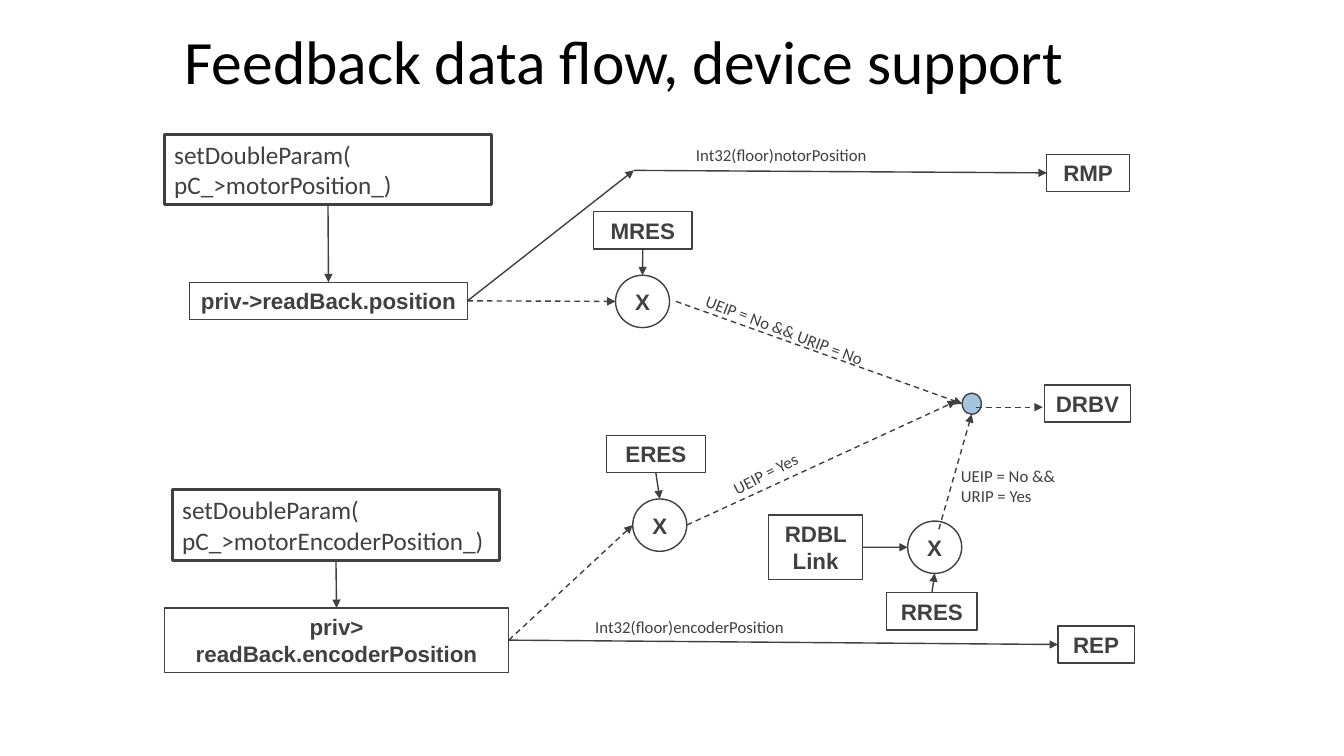
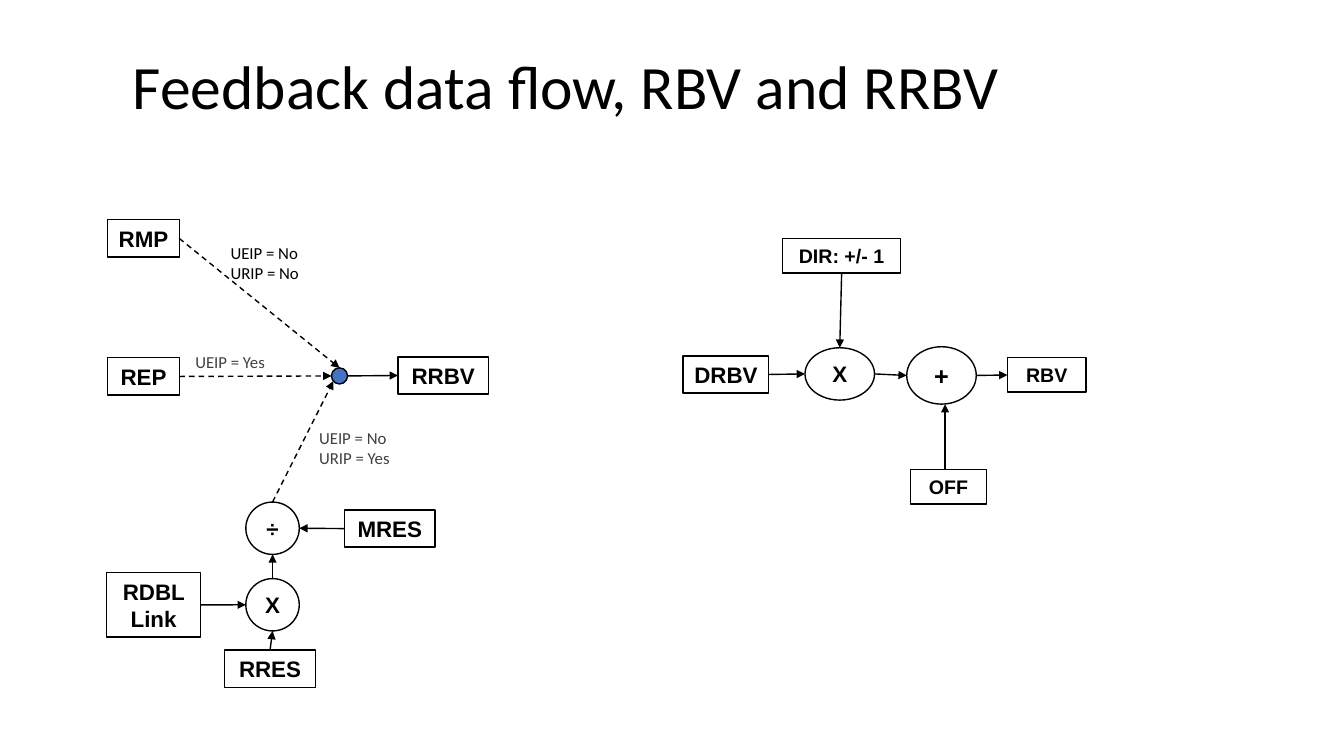
from dataclasses import dataclass
from pptx import Presentation
from pptx.dml.color import RGBColor
from pptx.enum.dml import MSO_LINE
from pptx.enum.shapes import MSO_CONNECTOR, MSO_SHAPE
from pptx.enum.text import MSO_ANCHOR, MSO_AUTO_SIZE, PP_ALIGN
from pptx.oxml.ns import qn
from pptx.util import Pt
from lxml.etree import SubElement

TOP, LEFT, BOTTOM, RIGHT = range(4)


@dataclass(frozen=True)
class Theme:
    black: str = "000000"
    gray: str = "404040"
    white: str = "FFFFFF"
    pale: str = "A6C4DE"
    blue: str = "4472C4"
    plain: str = "Calibri"
    strong: str = "Arial"
    title: int = 44
    code: int = 18
    node: int = 16
    small: int = 14
    label: int = 12
    row: float = 26.6
    low: float = 24.5
    tall: float = 46.1
    ring: float = 37.4


T = Theme()


def tint(code):
    return RGBColor.from_string(code)


def write(frame, text, size=T.label, ink=T.gray, font=T.plain, bold=False,
          align=PP_ALIGN.LEFT, anchor=MSO_ANCHOR.TOP, lead=None):
    frame.word_wrap = True
    frame.auto_size = MSO_AUTO_SIZE.NONE
    frame.vertical_anchor = anchor
    frame.text = text
    for para in frame.paragraphs:
        para.alignment = align
        para.line_spacing = lead
        for run in para.runs:
            run.font.name = font
            run.font.size = Pt(size)
            run.font.bold = bold
            run.font.color.rgb = tint(ink)


def start(deck, text, left, top):
    slide = deck.slides.add_slide(deck.slide_layouts[5])
    title = slide.shapes.title
    title.left, title.top = Pt(left), Pt(top)
    title.width, title.height = Pt(648), Pt(60.5)
    write(title.text_frame, text, size=T.title, ink=T.black,
          anchor=MSO_ANCHOR.MIDDLE, lead=0.9)
    return slide


def shape(slide, kind, area, ink, fill=None, weight=1):
    item = slide.shapes.add_shape(kind, *map(Pt, area))
    item.shadow.inherit = False
    item.line.color.rgb = tint(ink)
    item.line.width = Pt(weight)
    if fill:
        item.fill.solid()
        item.fill.fore_color.rgb = tint(fill)
    else:
        item.fill.background()
    return item


def code(slide, text, left, top):
    item = shape(slide, MSO_SHAPE.RECTANGLE, (left, top, 234, 50.4), T.gray, T.white, 2)
    write(item.text_frame, text, size=T.code)
    return item


def node(slide, text, area, ink, size=T.node):
    item = shape(slide, MSO_SHAPE.RECTANGLE, area, ink)
    write(item.text_frame, text, size=size, ink=ink, font=T.strong, bold=True,
          align=PP_ALIGN.CENTER, anchor=MSO_ANCHOR.MIDDLE)
    return item


def ring(slide, text, area, ink, size=T.node):
    item = shape(slide, MSO_SHAPE.OVAL, area, ink)
    frame = item.text_frame
    frame.margin_left = frame.margin_right = frame.margin_top = frame.margin_bottom = 0
    write(frame, text, size=size, ink=ink, font=T.strong, bold=True,
          align=PP_ALIGN.CENTER, anchor=MSO_ANCHOR.MIDDLE)
    return item


def label(slide, text, area, ink=T.gray, turn=0):
    box = slide.shapes.add_textbox(*map(Pt, area))
    box.rotation = turn
    write(box.text_frame, text, ink=ink)


def locate(end):
    item, side = end
    if isinstance(item, (int, float)):
        return Pt(item), Pt(side)
    across = {LEFT: 0, RIGHT: item.width}.get(side, item.width // 2)
    down = {TOP: 0, BOTTOM: item.height}.get(side, item.height // 2)
    return item.left + across, item.top + down


def boxed(end):
    item = end[0]
    return (not isinstance(item, (int, float))
            and item.auto_shape_type == MSO_SHAPE.RECTANGLE)


def arrow(slide, first, last, ink, dash=False):
    line = slide.shapes.add_connector(MSO_CONNECTOR.STRAIGHT, *locate(first), *locate(last))
    if boxed(first):
        line.begin_connect(*first)
    if boxed(last):
        line.end_connect(*last)
    line.line.color.rgb = tint(ink)
    line.line.width = Pt(1)
    if dash:
        line.line.dash_style = MSO_LINE.DASH
    props = line.element.spPr
    SubElement(props.find(qn("a:ln")), qn("a:tailEnd"), type="triangle")
    SubElement(props, qn("a:effectLst"))


def link(slide, ink, solid, dashed):
    for first, last in solid:
        arrow(slide, first, last, ink)
    for first, last in dashed:
        arrow(slide, first, last, ink, dash=True)


def device(deck):
    slide = start(deck, "Feedback data flow, device support", 124.6, 15.8)
    ink = T.gray
    motor = code(slide, "setDoubleParam(\npC_>motorPosition_)", 117.4, 95.8)
    coder = code(slide, "setDoubleParam(\npC_>motorEncoderPosition_)", 123.1, 349.9)
    place, count, eres, mres, drbv, rdbl, rres, rmp, rep = [
        node(slide, text, area, ink) for text, area in (
            ("priv->readBack.position", (135.4, 201.6, 198.7, T.row)),
            ("priv>\nreadBack.encoderPosition", (117.4, 434.2, 246.2, T.tall)),
            ("ERES", (433.4, 311, 70.6, T.row)),
            ("MRES", (424.1, 151.2, 70.6, T.row)),
            ("DRBV", (746.6, 275, 61.2, T.row)),
            ("RDBL Link", (549.4, 367.9, 67, T.tall)),
            ("RRES", (633.6, 423.4, 64.8, T.row)),
            ("RMP", (748.1, 110.2, 59, T.row)),
            ("REP", (756, 447.1, 54.7, T.row)))]
    upper, middle, lower = [
        ring(slide, "X", (left, top, 38.6, T.ring), ink)
        for left, top in ((439.9, 196.6), (452.2, 356.4), (648.7, 372.2))]
    dot = shape(slide, MSO_SHAPE.OVAL, (687.6, 280.8, 13.7, 15.1), ink, T.pale)
    fork = (453, 121.7)
    link(slide, ink, solid=(
        ((motor, BOTTOM), (place, TOP)),
        ((coder, BOTTOM), (count, TOP)),
        ((mres, BOTTOM), (upper, TOP)),
        ((eres, BOTTOM), (middle, TOP)),
        ((rdbl, RIGHT), (lower, LEFT)),
        ((rres, TOP), (lower, BOTTOM)),
        ((place, RIGHT), fork),
        (fork, (rmp, LEFT)),
        ((count, RIGHT), (rep, LEFT)),
    ), dashed=(
        ((place, RIGHT), (upper, LEFT)),
        ((count, RIGHT), (middle, LEFT)),
        ((483.1, 215.3), (dot, LEFT)),
        ((middle, RIGHT), (683.3, 286.6)),
        ((671, 378), (dot, BOTTOM)),
        ((697.7, 290.9), (745.2, 290.9)),
    ))
    label(slide, "UEIP = No && URIP = No", (493.9, 225.4, 136.1, 21.6), turn=21)
    label(slide, "UEIP = Yes", (514.8, 326.2, 69.1, 21.6), turn=333)
    label(slide, "UEIP = No && URIP = Yes", (679.7, 329, 101.5, 36))
    label(slide, "Int32(floor)notorPosition", (490.3, 100.1, 167, 21.6))
    label(slide, "Int32(floor)encoderPosition", (418.3, 437, 167, 21.6))


def values(deck):
    slide = start(deck, "Feedback data flow, RBV and RRBV", 87.8, 33.8)
    ink = T.black
    drbv, rep, rmp, rrbv, rdbl, mres, rres = [
        node(slide, text, area, ink) for text, area in (
            ("DRBV", (488.2, 254.2, 61.2, T.row)),
            ("REP", (77, 255.6, 51.1, T.row)),
            ("RMP", (77, 157, 51.1, T.row)),
            ("RRBV", (284.4, 254.9, 64.8, T.row)),
            ("RDBL Link", (76.3, 409, 67, T.tall)),
            ("MRES", (246.2, 364.3, 64.8, T.row)),
            ("RRES", (160.6, 464.4, 64.8, T.row)))]
    rbv, off, sign = [
        node(slide, text, area, ink, T.small) for text, area in (
            ("RBV", (720, 255.6, 56.2, T.low)),
            ("OFF", (650.9, 335.5, 54, T.low)),
            ("DIR: +/- 1", (559.4, 170.6, 84.2, T.low)))]
    times = ring(slide, "X", (575.3, 248.4, 49.7, T.ring), ink)
    plus = ring(slide, "+", (648, 247.7, 49.7, 41), ink, T.code)
    split = ring(slide, "÷", (175.7, 358.6, 38.2, T.ring), ink)
    scale = ring(slide, "X", (175.7, 413.3, 38.2, T.ring), ink)
    dot = shape(slide, MSO_SHAPE.OVAL, (236.9, 262.8, 11.5, 11.5), ink, T.blue)
    link(slide, ink, solid=(
        ((sign, BOTTOM), (times, TOP)),
        ((675.4, 335.5), (675.4, 288.7)),
        ((drbv, RIGHT), (times, LEFT)),
        ((times, RIGHT), (plus, LEFT)),
        ((plus, RIGHT), (rbv, LEFT)),
        ((dot, RIGHT), (rrbv, LEFT)),
        ((rdbl, RIGHT), (scale, LEFT)),
        ((rres, TOP), (scale, BOTTOM)),
        ((scale, TOP), (split, BOTTOM)),
        ((mres, LEFT), (split, RIGHT)),
    ), dashed=(
        ((rmp, RIGHT), (dot, TOP)),
        ((rep, RIGHT), (dot, LEFT)),
        ((split, TOP), (238.3, 272.2)),
    ))
    label(slide, "UEIP = Yes", (132.5, 247.7, 72, 21.6))
    label(slide, "UEIP = No\nURIP = No", (157.7, 169.9, 72, 36), ink=T.black)
    label(slide, "UEIP = No\nURIP = Yes", (221, 301.7, 72, 36))


def main():
    deck = Presentation()
    deck.slide_width, deck.slide_height = Pt(960.48), Pt(540)
    device(deck)
    values(deck)
    deck.save("out.pptx")


if __name__ == "__main__":
    main()
